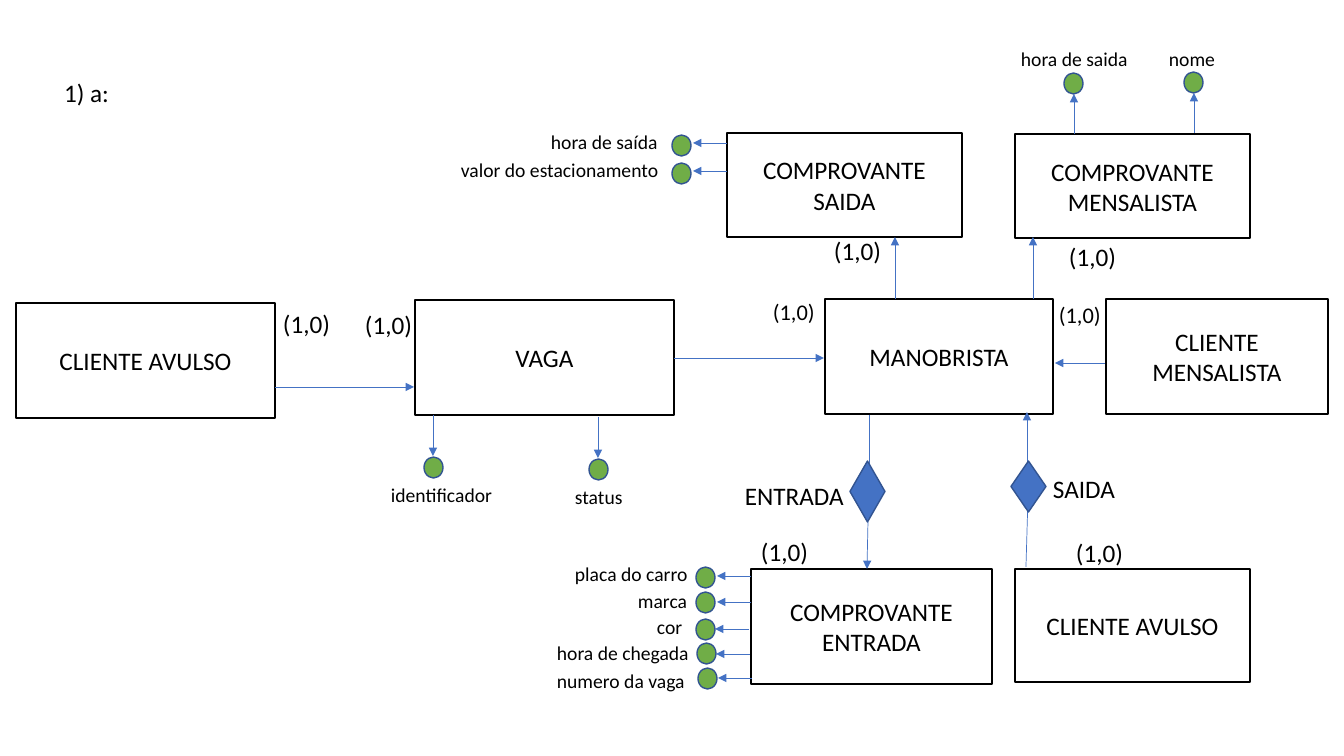
from lxml import etree
from pptx import Presentation
from pptx import util as u
from pptx.dml.color import RGBColor
from pptx.enum import shapes, text
from pptx.oxml.ns import qn

SCALE = 914400 / 100.8
BLUE, EDGE, GREEN = "4472C4", "325491", "70AD47"
BLACK, WHITE = "000000", "FFFFFF"
DOT = (19, 21)
TALL = {14: 34, 16: 37, 18: 40}  # label height by font size

# text, left, top, width, height
BOXES = [
    ("MANOBRISTA", 825, 299, 228, 115),
    ("VAGA", 415, 300, 259, 115),
    ("COMPROVANTE ENTRADA", 751, 569, 241, 115),
    ("CLIENTE AVULSO", 16, 303, 259, 115),
    ("CLIENTE AVULSO", 1015, 569, 235, 113),
    ("COMPROVANTE SAIDA", 727, 133, 235, 104),
    ("CLIENTE MENSALISTA", 1106, 299, 222, 115),
    ("COMPROVANTE MENSALISTA", 1015, 134, 235, 104),
]

# direction: (label, dot left and top, arrow start)
LEFT, UP, DOWN = (-34, 0), (0, -40), (0, 41)
TRAITS = {
    LEFT: [
        (("placa do carro", 565, 557, 144), (696, 567), (751, 576)),
        (("marca", 628, 584, 72), (696, 592), (751, 602)),
        (("cor", 647, 610, 51), (696, 619), (749, 629)),
        (("hora de chegada", 547, 636, 160), (697, 643), (750, 654)),
        (("numero da vaga", 547, 664, 160), (698, 668), (752, 678)),
        (("hora de saída", 541, 125, 144), (672, 135), (727, 143)),
        (("valor do estacionamento", 451, 153, 235), (672, 163), (727, 171)),
    ],
    UP: [
        (("hora de saida", 1011, 42, 130), (1064, 73), (1074, 134)),
        (("nome", 1159, 42, 69), (1184, 72), (1194, 133)),
    ],
    DOWN: [
        (("identificador", 381, 478, 144), (424, 457), (433, 415)),
        (("status", 565, 480, 144), (589, 459), (598, 417)),
    ],
}

# start x, start y, end x, end y
ARROWS = [
    (275, 387, 414, 387),
    (674, 358, 824, 358),
    (1105, 363, 1055, 363),
    (895, 299, 895, 237),
    (1033, 299, 1033, 237),
    (869, 415, 869, 492),
    (868, 522, 867, 569),
    (1026, 567, 1028, 499),
    (1027, 464, 1027, 412),
]

GEMS = [(850, 461, 35, 61), (1011, 461, 35, 51)]
ROLES = [("ENTRADA", 735, 475, 122), ("SAIDA", 1043, 468, 85)]

# left, top, font size
COUNTS = [
    (1049, 296, 16), (763, 293, 16), (273, 303, 18), (355, 304, 18),
    (751, 531, 18), (1066, 532, 18), (824, 230, 18), (1059, 236, 18),
]


def px(n):
    return u.Emu(round(n * SCALE))


def rgb(code):
    return RGBColor.from_string(code)


def write(shape, words, size, align, anchor):
    frame = shape.text_frame
    frame.text = words
    frame.word_wrap = True
    frame.auto_size = text.MSO_AUTO_SIZE.NONE
    frame.vertical_anchor = anchor
    para = frame.paragraphs[0]
    para.alignment = align
    para.font.name = "Calibri"
    para.font.size = u.Pt(size)
    para.font.color.rgb = rgb(BLACK)


def form(slide, kind, x, y, w, h, fill, edge):
    shape = slide.shapes.add_shape(kind, px(x), px(y), px(w), px(h))
    shape.shadow.inherit = False
    shape.fill.solid()
    shape.fill.fore_color.rgb = rgb(fill)
    shape.line.color.rgb = rgb(edge)
    shape.line.width = u.Pt(1)
    return shape


def box(slide, words, x, y, w, h):
    shape = form(slide, shapes.MSO_SHAPE.RECTANGLE, x, y, w, h, WHITE, BLACK)
    write(shape, words, 18, text.PP_ALIGN.CENTER, text.MSO_ANCHOR.MIDDLE)


def label(slide, words, x, y, w, size):
    shape = slide.shapes.add_textbox(px(x), px(y), px(w), px(TALL[size]))
    write(shape, words, size, text.PP_ALIGN.LEFT, text.MSO_ANCHOR.TOP)


def arrow(slide, x1, y1, x2, y2):
    line = slide.shapes.add_connector(
        shapes.MSO_CONNECTOR.STRAIGHT, px(x1), px(y1), px(x2), px(y2))
    line.line.color.rgb = rgb(BLUE)
    line.line.width = u.Pt(0.5)
    etree.SubElement(line.line._get_or_add_ln(), qn("a:tailEnd"), type="triangle")
    etree.SubElement(line._element.spPr, qn("a:effectLst"))


def trait(slide, name, dot, start, step):
    x, y = start
    arrow(slide, x, y, x + step[0], y + step[1])
    form(slide, shapes.MSO_SHAPE.OVAL, *dot, *DOT, GREEN, EDGE)
    label(slide, *name, 14)


def head(slide, words, x, y, w, h):
    title = slide.shapes.title
    title.left, title.top, title.width, title.height = map(px, (x, y, w, h))
    write(title, words, 18, text.PP_ALIGN.LEFT, text.MSO_ANCHOR.TOP)


def main():
    deck = Presentation()
    deck.slide_width, deck.slide_height = px(1344), px(756)
    slide = deck.slides.add_slide(deck.slide_layouts.get_by_name("Title Only"))
    head(slide, "1) a:", 54, 72, 68, 40)

    # Entities and their links
    for item in BOXES:
        box(slide, *item)
    for item in ARROWS:
        arrow(slide, *item)

    # Relationships
    for gem in GEMS:
        form(slide, shapes.MSO_SHAPE.DIAMOND, *gem, BLUE, EDGE)
    for role in ROLES:
        label(slide, *role, 18)

    # Attributes
    for step, items in TRAITS.items():
        for item in items:
            trait(slide, *item, step)

    # Cardinalities
    for x, y, size in COUNTS:
        label(slide, "(1,0)", x, y, 69, size)

    deck.save("out.pptx")


main()
